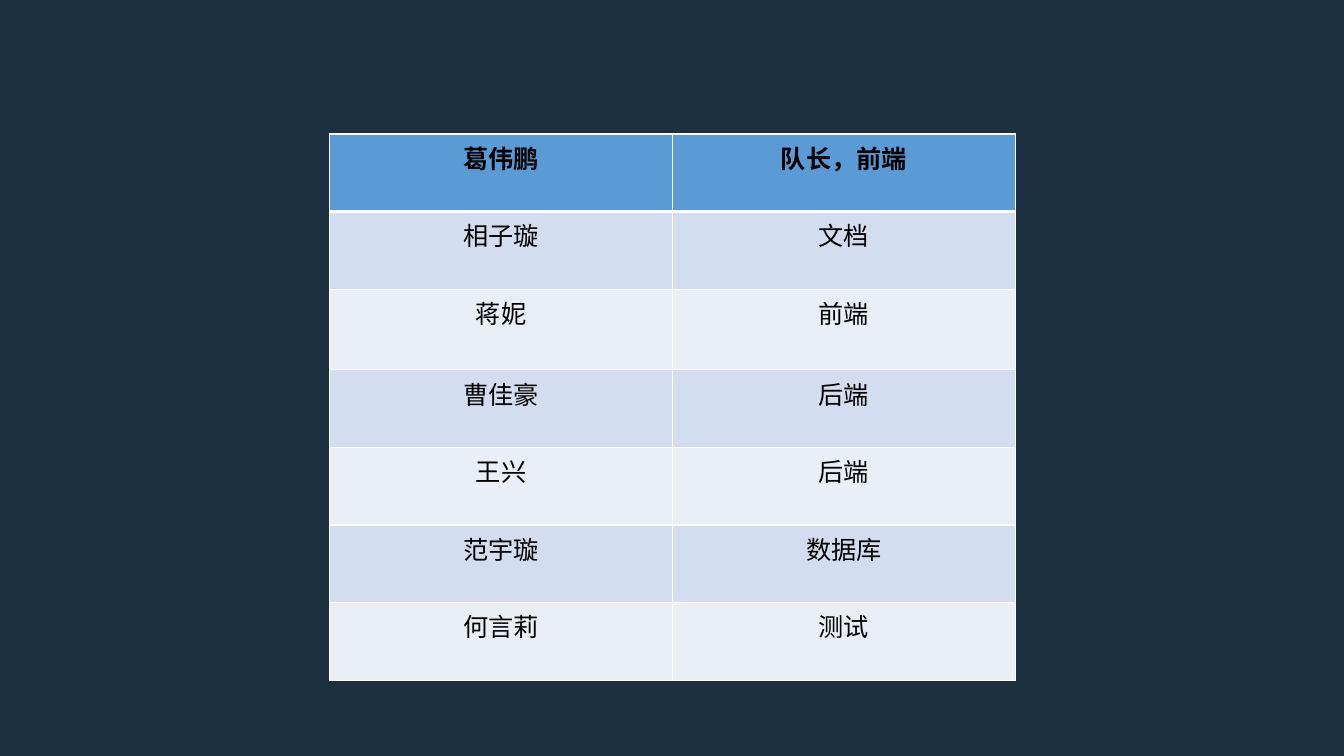
from dataclasses import dataclass

from lxml import etree
from pptx import Presentation
from pptx import util as u
from pptx.dml import color
from pptx.enum import text
from pptx.oxml import ns

WIDE, HIGH = 13.33, 7.5
LEFT, TOP = 3.27, 1.33
COL, ROW, TALL = 3.4, 0.77, 0.8
HEAD, BANDS = "5B9BD5", ("EAEFF7", "D2DEEF")
INK, EDGE, BACK = "000000", "FFFFFF", "1D303F"


@dataclass
class Member:
    name: str
    role: str
    high: float = ROW


TEAM = [
    Member("葛伟鹏", "队长，前端"),
    Member("相子璇", "文档"),
    Member("蒋妮", "前端", TALL),
    Member("曹佳豪", "后端"),
    Member("王兴", "后端"),
    Member("范宇璇", "数据库"),
    Member("何言莉", "测试"),
]


def paint(fill, tone: str) -> None:
    fill.solid()
    fill.fore_color.rgb = color.RGBColor.from_string(tone)


def border(cell, top: float, low: float) -> None:
    props = cell._tc.get_or_add_tcPr()
    sides = {"lnL": 1, "lnR": 1, "lnT": top, "lnB": low}
    for spot, (side, wide) in enumerate(sides.items()):
        line = etree.Element(ns.qn(f"a:{side}"), w=str(u.Pt(wide)))
        fill = etree.SubElement(line, ns.qn("a:solidFill"))
        etree.SubElement(fill, ns.qn("a:srgbClr"), val=EDGE)
        props.insert(spot, line)


def write(cell, words: str, row: int) -> None:
    cell.text = words
    para = cell.text_frame.paragraphs[0]
    para.alignment = text.PP_ALIGN.CENTER
    para.font.name = "Calibri"
    para.font.size = u.Pt(18)
    para.font.bold = row == 0
    paint(para.font.fill, INK)
    paint(cell.fill, BANDS[row % 2] if row else HEAD)
    border(cell, 3 if row == 1 else 1, 3 if row == 0 else 1)


def main() -> None:
    deck = Presentation()
    deck.slide_width, deck.slide_height = u.Inches(WIDE), u.Inches(HIGH)
    slide = deck.slides.add_slide(deck.slide_layouts[6])
    paint(slide.background.fill, BACK)
    tall = sum(member.high for member in TEAM)
    frame = slide.shapes.add_table(
        len(TEAM), 2, u.Inches(LEFT), u.Inches(TOP), u.Inches(2 * COL), u.Inches(tall)
    )
    table = frame.table
    for row, member in enumerate(TEAM):
        table.rows[row].height = u.Inches(member.high)
        for col, words in enumerate((member.name, member.role)):
            write(table.cell(row, col), words, row)
    deck.save("out.pptx")


if __name__ == "__main__":
    main()
